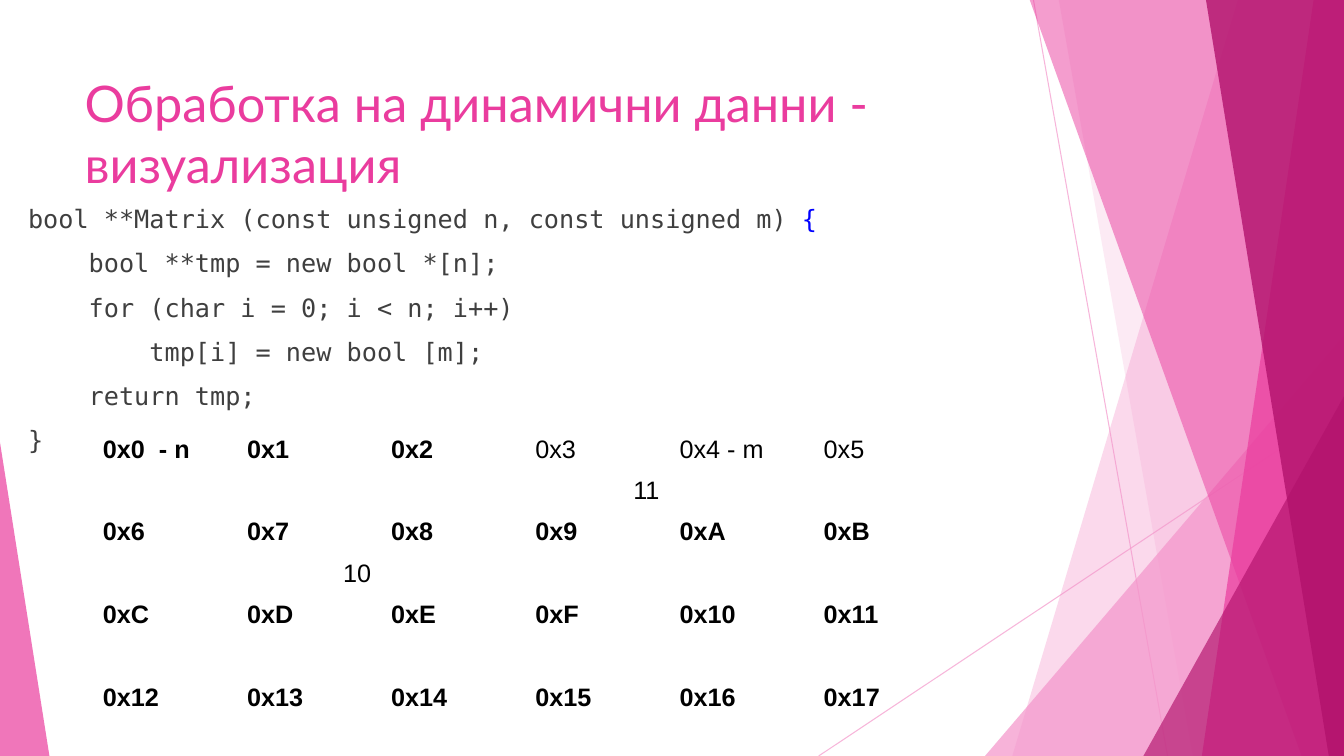
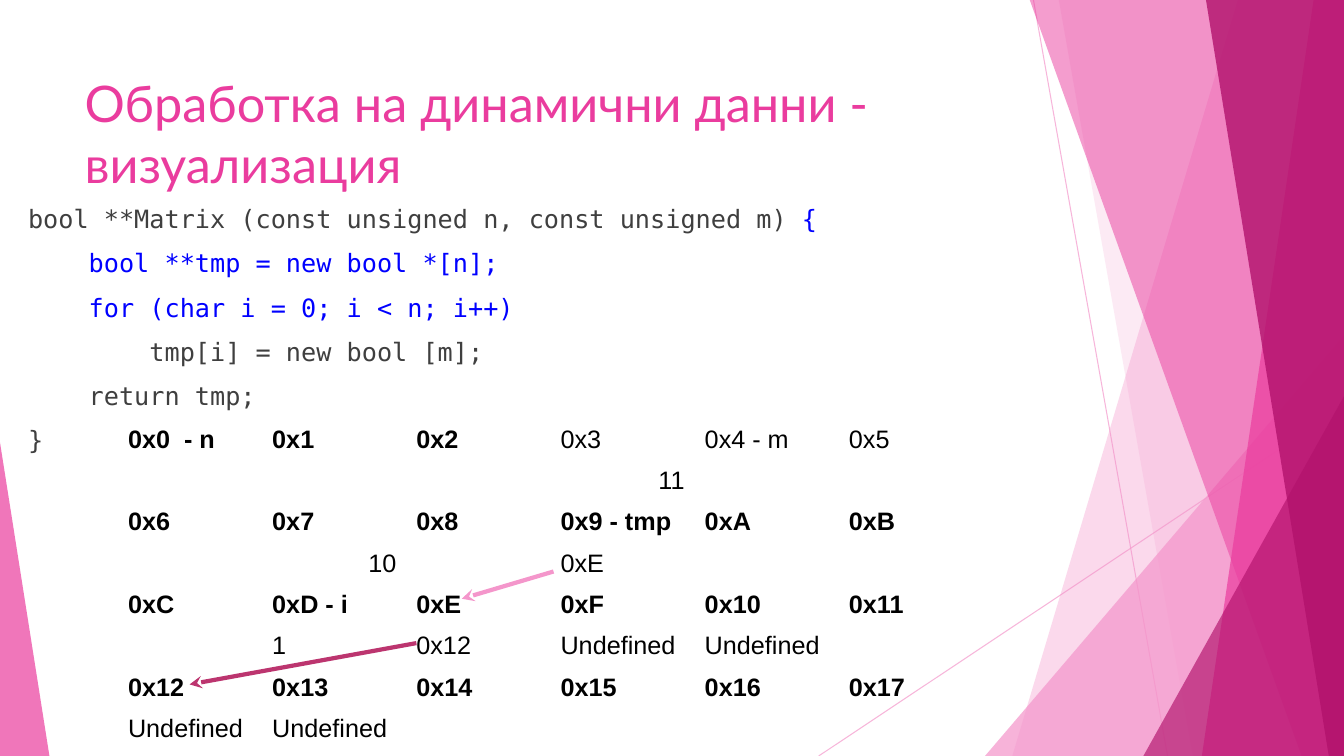
import lxml.etree
import pptx
import pptx.dml.color
import pptx.enum.shapes
import pptx.enum.text
import pptx.oxml.ns
import pptx.util

SCALE = 9144
WIDTH, HEIGHT = 1333, 750
LIGHT, PINK, DARK, CRIMSON = "F496CB", "EA3C9E", "B2126C", "BC356F"
GRAY, BLUE, BLACK = "3F3F3F", "0000FF", "000000"
NO_GRID = "{2D5ABB26-0587-4C30-8999-92F81FD0307C}"

TITLE = "Обработка на динамични данни - визуализация"
CODE = [
    "bool **Matrix (const unsigned n, const unsigned m) {",
    "    bool **tmp = new bool *[n];",
    "    for (char i = 0; i < n; i++)",
    "        tmp[i] = new bool [m];",
    "    return tmp;",
    "}",
]
MEMORY_COLS, MEMORY_ROWS = 6, 4
SPANS = {0: 4, 4: 2, 6: 2}
NAMES = {0: "  - n", 4: " - m"}
VALUES = {0: "11", 6: "10"}


def px(n):
    return pptx.util.Emu(n * SCALE)


def rgb(color):
    return pptx.dml.color.RGBColor.from_string(color)


def add_xml(parent, tag, **attrs):
    return lxml.etree.SubElement(parent, pptx.oxml.ns.qn(tag), **attrs)


class Deck:
    def __init__(self):
        self.prs = pptx.Presentation()
        self.prs.slide_width, self.prs.slide_height = px(WIDTH), px(HEIGHT)
        self.s = None

    def slide(self):
        self.s = self.prs.slides.add_slide(self.prs.slide_layouts[6])
        self.backdrop()
        self.title(TITLE)

    def set_alpha(self, sp, percent):
        for clr in sp._element.spPr.xpath(".//a:srgbClr"):
            add_xml(clr, "a:alpha", val=str(percent * 1000))

    def paint(self, sp, color, alpha):
        sp.shadow.inherit = False
        sp.fill.solid()
        sp.fill.fore_color.rgb = rgb(color)
        sp.line.fill.background()
        self.set_alpha(sp, alpha)

    def band(self, top_x, bottom_x, color, alpha):
        fb = self.s.shapes.build_freeform(top_x, -1, scale=SCALE)
        fb.add_line_segments([(WIDTH, -1), (WIDTH, HEIGHT), (bottom_x, HEIGHT)])
        self.paint(fb.convert_to_shape(), color, alpha)

    def triangle(self, x, y, w, apex, color, alpha):
        kind = pptx.enum.shapes.MSO_SHAPE.ISOSCELES_TRIANGLE
        sp = self.s.shapes.add_shape(kind, px(x), px(y), px(w), px(HEIGHT - y))
        sp.adjustments[0] = apex
        self.paint(sp, color, alpha)

    def line(self, x1, y1, x2, y2, color, width, alpha=100, arrow=False):
        kind = pptx.enum.shapes.MSO_CONNECTOR.STRAIGHT
        cxn = self.s.shapes.add_connector(kind, px(x1), px(y1), px(x2), px(y2))
        cxn.line.color.rgb = rgb(color)
        cxn.line.width = pptx.util.Pt(width)
        if alpha < 100:
            self.set_alpha(cxn, alpha)
        if arrow:
            add_xml(cxn.line._get_or_add_ln(), "a:tailEnd", type="stealth")
        add_xml(cxn._element.spPr, "a:effectLst")

    def arrow(self, x1, y1, x2, y2, color):
        self.line(x1, y1, x2, y2, color, 3, arrow=True)

    def backdrop(self):
        self.line(1025, 0, 1158, HEIGHT, LIGHT, 0.75, 70)
        self.line(WIDTH, 403, 812, HEIGHT, LIGHT, 0.75, 70)
        self.band(1228, 1004, LIGHT, 36)
        self.band(1050, 1183, LIGHT, 20)
        self.triangle(977, 333, 356, 1, LIGHT, 72)
        self.band(1021, 1291, PINK, 50)
        self.band(1303, 1192, PINK, 70)
        self.band(1196, 1318, DARK, 80)
        self.triangle(1134, 393, 199, 1, DARK, 66)
        self.triangle(0, 439, 49, 0, PINK, 70)

    def style(self, p, name, size, color, bold=False):
        p.font.name = name
        p.font.size = pptx.util.Pt(size)
        p.font.bold = bold
        p.font.color.rgb = rgb(color)

    def text_frame(self, x, y, w, h):
        tf = self.s.shapes.add_textbox(px(x), px(y), px(w), px(h)).text_frame
        tf.word_wrap = True
        return tf

    def title(self, text):
        p = self.text_frame(74, 67, 940, 144).paragraphs[0]
        p.text = text
        self.style(p, "Lato", 36, PINK)

    def code(self, lines, active=()):
        tf = self.text_frame(18, 197, 1150, 476)
        for i, line in enumerate(lines):
            p = tf.add_paragraph() if i else tf.paragraphs[0]
            self.style(p, "DejaVu Sans Mono", 18, BLUE if i in active else GRAY)
            if i:
                p.space_before = pptx.util.Pt(10)
                p.add_run().text = line
            else:
                p.add_run().text = line[:-1]
                r = p.add_run()
                r.text = line[-1]
                r.font.color.rgb = rgb(BLUE)

    def cell(self, cell, text, bold=False, right=False):
        cell.fill.background()
        p = cell.text_frame.paragraphs[0]
        p.text = text
        self.style(p, "Arial", 18, BLACK, bold)
        if right:
            p.alignment = pptx.enum.text.PP_ALIGN.RIGHT

    def memory(self, x, y, names, values):
        widths = [143] * (MEMORY_COLS - 1) + [159]
        rows, row_h = 2 * MEMORY_ROWS, 41
        frame = self.s.shapes.add_table(
            rows, MEMORY_COLS, px(x), px(y), px(sum(widths)), px(rows * row_h))
        table = frame.table
        table.first_row = table.horz_banding = False
        table._tbl.tblPr.xpath("a:tableStyleId")[0].text = NO_GRID
        for col, width in zip(table.columns, widths):
            col.width = px(width)
        for row in table.rows:
            row.height = px(row_h)
        for address in range(MEMORY_COLS * MEMORY_ROWS):
            row, col = divmod(address, MEMORY_COLS)
            label = f"0x{address:X}" + names.get(address, "")
            self.cell(table.cell(2 * row, col), label, bold=address not in (3, 4, 5))
            value = table.cell(2 * row + 1, col)
            if address in SPANS:
                value.merge(table.cell(2 * row + 1, col + SPANS[address] - 1))
            self.cell(value, values.get(address, ""), right=address in SPANS)


def main():
    deck = Deck()

    deck.slide()
    deck.code(CODE)
    deck.memory(92, 427, NAMES, VALUES)

    deck.slide()
    deck.code(CODE, active=(1, 2))
    undefined = dict.fromkeys((15, 16, 18, 19), "Undefined")
    deck.memory(117, 417, {**NAMES, 9: " - tmp", 13: " - i"},
                {**VALUES, 9: "0xЕ", 13: "1", 14: "0x12", **undefined})
    deck.arrow(549, 567, 458, 594, LIGHT)
    deck.arrow(413, 638, 188, 679, CRIMSON)

    deck.prs.save("out.pptx")


if __name__ == "__main__":
    main()
